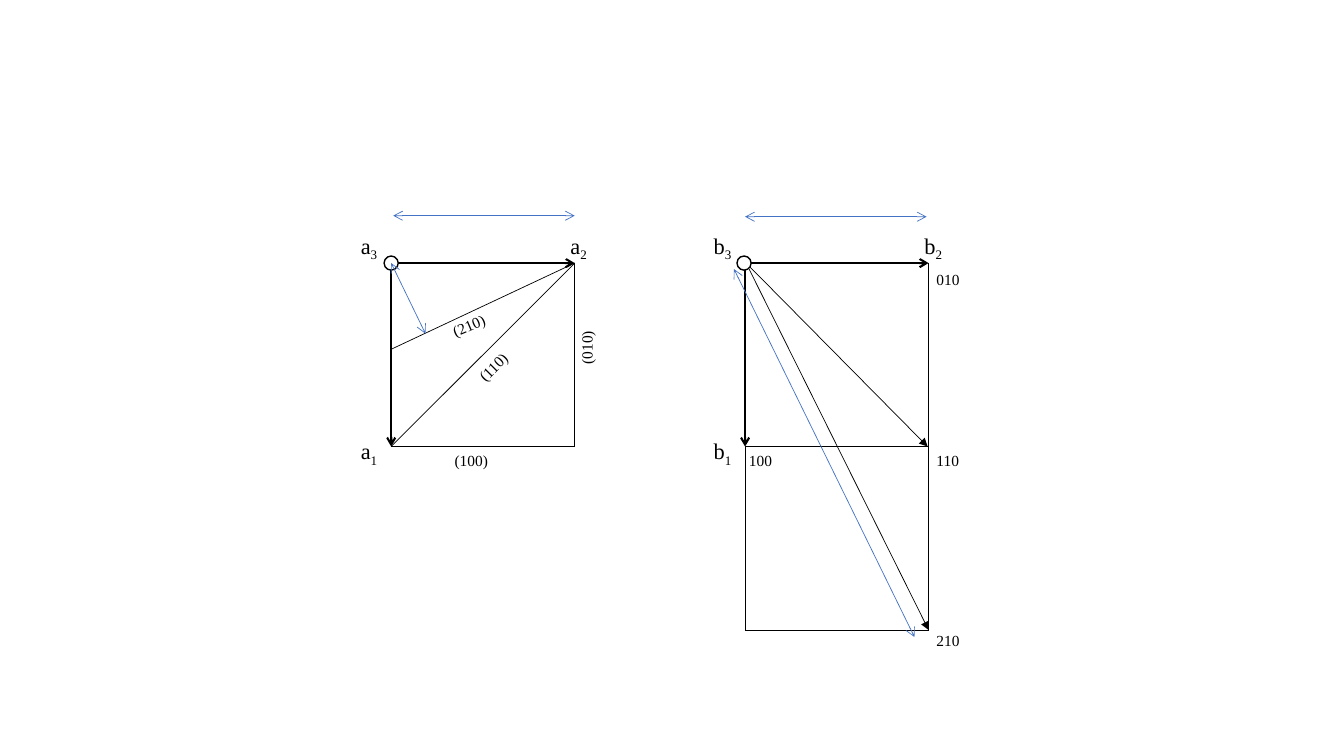
import pptx
import pptx.dml.color
import pptx.enum.shapes
import pptx.enum.text
import pptx.oxml
import pptx.oxml.ns
import pptx.util
from pptx.util import Inches

BLACK = pptx.dml.color.RGBColor(0x00, 0x00, 0x00)
WHITE = pptx.dml.color.RGBColor(0xFF, 0xFF, 0xFF)
BLUE = pptx.dml.color.RGBColor(0x44, 0x72, 0xC4)
FONT = "Times New Roman"

# Geometry of the two lattices, in inches
CELL = 1.82
TOP, BOTTOM, LOWER = [2.61 + row * CELL for row in range(3)]
A_LEFT, B_LEFT = 3.88, 7.39
A_RIGHT, B_RIGHT = A_LEFT + CELL, B_LEFT + CELL
LABEL_WIDTH = 0.94
CIRCLE = 0.14

# Thin lines: start x, start y, end x, end y
EDGES = [
    (A_RIGHT, TOP, A_LEFT, BOTTOM),
    (A_RIGHT, TOP, 3.87, 3.47),
    (A_LEFT, BOTTOM, A_RIGHT, BOTTOM),
    (A_RIGHT, TOP, A_RIGHT, BOTTOM),
    (B_LEFT, LOWER, B_RIGHT, LOWER),
    (B_LEFT, BOTTOM, B_RIGHT, BOTTOM),
    (B_RIGHT, TOP, B_RIGHT, LOWER),
    (B_LEFT, BOTTOM, B_LEFT, LOWER),
]
RECIPROCAL_VECTORS = [
    (7.4, TOP, 9.2, BOTTOM),
    (7.4, TOP, B_RIGHT, LOWER),
]
SPACINGS = [
    (3.9, 2.14, 5.7, 2.14),
    (B_LEFT, 2.15, 9.19, 2.15),
    (A_LEFT, TOP, 4.22, 3.31),
    (7.28, 2.67, 9.07, 6.32),
]

# Labels: text, left, top, rotation
INDICES = [
    ("(100)", 4.41, 4.43, 0),
    ("(010)", 5.35, 3.1, 270),
    ("(110)", 4.57, 3.35, 315),
    ("(210)", 4.37, 3.01, 337),
    ("100", 7.33, 4.43, 0),
    ("110", 9.19, 4.43, 0),
    ("010", 9.19, 2.63, 0),
    ("210", 9.19, 6.21, 0),
]
# Axis names: letter, subscript, left, top
AXES = [
    ("a", "1", 3.48, 4.29),
    ("a", "2", 5.56, 2.25),
    ("a", "3", 3.48, 2.25),
    ("b", "1", 6.98, 4.29),
    ("b", "2", 9.07, 2.25),
    ("b", "3", 6.98, 2.25),
]
ORIGIN_CIRCLES = [(3.81, 2.54), (7.31, 2.54)]


def add_line(page, ends, color=BLACK, width=0.5, head=None, tail=None):
    line = page.shapes.add_connector(
        pptx.enum.shapes.MSO_CONNECTOR.STRAIGHT, *[Inches(value) for value in ends])
    line.line.color.rgb = color
    line.line.width = pptx.util.Pt(width)
    properties = line._element.spPr
    outline = line.line._get_or_add_ln()
    for tag, kind in (("a:headEnd", head), ("a:tailEnd", tail)):
        if kind:
            end = pptx.oxml.parse_xml(f"<{tag} {pptx.oxml.ns.nsdecls('a')}/>")
            end.set("type", kind)
            outline.append(end)
    properties.append(pptx.oxml.parse_xml(
        f"<a:effectLst {pptx.oxml.ns.nsdecls('a')}/>"))


def add_label(page, text, left, top, height, size, rotation=0, subscript=""):
    box = page.shapes.add_textbox(
        Inches(left), Inches(top), Inches(LABEL_WIDTH), Inches(height))
    box.rotation = rotation
    frame = box.text_frame
    frame.word_wrap = True
    frame.auto_size = pptx.enum.text.MSO_AUTO_SIZE.SHAPE_TO_FIT_TEXT
    for part, baseline in ((text, None), (subscript, "-25000")):
        if part:
            span = frame.paragraphs[0].add_run()
            span.text = part
            span.font.name = FONT
            span.font.size = pptx.util.Pt(size)
            span.font.color.rgb = BLACK
            if baseline:
                span._r.get_or_add_rPr().set("baseline", baseline)


def add_origin(page, left, top):
    circle = page.shapes.add_shape(
        pptx.enum.shapes.MSO_SHAPE.OVAL,
        Inches(left), Inches(top), Inches(CIRCLE), Inches(CIRCLE))
    circle.shadow.inherit = False
    circle.fill.solid()
    circle.fill.fore_color.rgb = WHITE
    circle.line.color.rgb = BLACK
    circle.line.width = pptx.util.Pt(1)


def main():
    deck = pptx.Presentation()
    deck.slide_width, deck.slide_height = Inches(13.33), Inches(7.5)
    page = deck.slides.add_slide(deck.slide_layouts[6])

    # Cell edges, lattice planes and axis vectors
    for ends in EDGES:
        add_line(page, ends)
    for left in (A_LEFT, B_LEFT):
        add_line(page, (left, TOP, left + CELL, TOP), width=1.5, tail="arrow")
        add_line(page, (left, BOTTOM, left, TOP), width=1.5, head="arrow")
    for ends in RECIPROCAL_VECTORS:
        add_line(page, ends, tail="triangle")

    # Labels
    for text, left, top, rotation in INDICES:
        add_label(page, text, left, top, 0.29, 11, rotation)
    for letter, subscript, left, top in AXES:
        add_label(page, letter, left, top, 0.37, 16, subscript=subscript)

    # Origins, then the spacing arrows above them
    for left, top in ORIGIN_CIRCLES:
        add_origin(page, left, top)
    for ends in SPACINGS:
        add_line(page, ends, BLUE, head="arrow", tail="arrow")

    deck.save("out.pptx")


if __name__ == "__main__":
    main()
